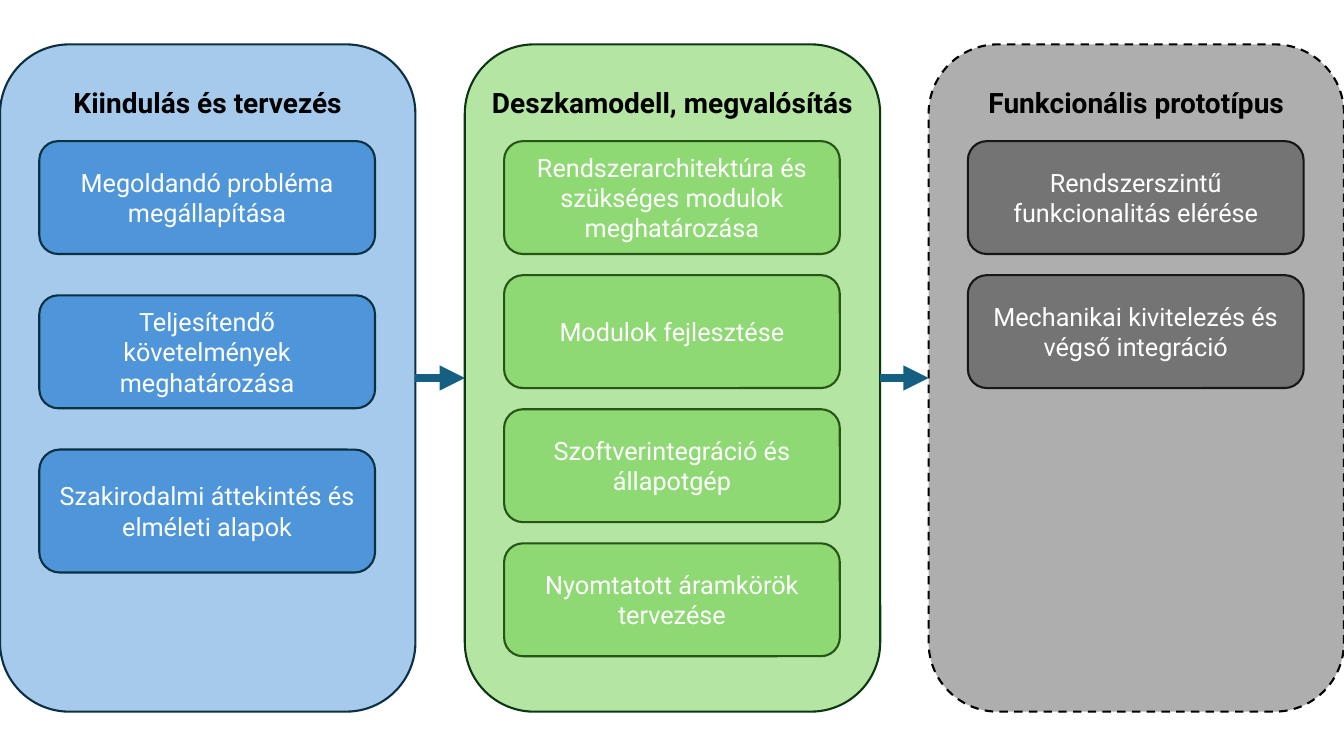
from lxml import etree
from pptx import Presentation
from pptx.dml.color import RGBColor
from pptx.enum import dml, shapes, text
from pptx.oxml import ns
from pptx.util import Inches, Pt

FONT = "Roboto"
COLORS = {
    "black": "000000", "white": "FFFFFF", "arrow": "156082",
    "sky": "A6CAEC", "blue": "4E95D9", "navy": "0B3041",
    "mint": "B4E5A2", "green": "8ED973", "pine": "0D3612", "moss": "275417",
    "silver": "AEAEAE", "gray": "747474", "coal": "171717",
}

# Panel geometry in inches
LEFTS = (0, 4.61, 9.21)
TOP, WIDTH, HEIGHT = 0.44, 4.12, 6.62
BOX_TOP, BOX_W, BOX_H, INDENT = 1.4, 3.33, 1.12, 0.39

# Phases: heading, panel fill and line, dashed, box fill and line, box step, boxes
PHASES = [
    ("Kiindulás és tervezés", "sky", "navy", False, "blue", "navy", 1.53, [
        ("Megoldandó probléma megállapítása", BOX_H),
        ("Teljesítendő követelmények meghatározása", BOX_H),
        ("Szakirodalmi áttekintés és elméleti alapok", 1.22)]),
    ("Deszkamodell, megvalósítás", "mint", "pine", False, "green", "moss", 1.33, [
        ("Rendszerarchitektúra és szükséges modulok meghatározása", BOX_H),
        ("Modulok fejlesztése", BOX_H),
        ("Szoftverintegráció és állapotgép", BOX_H),
        ("Nyomtatott áramkörök tervezése", BOX_H)]),
    ("Funkcionális prototípus", "silver", "black", True, "gray", "coal", 1.33, [
        ("Rendszerszintű funkcionalitás elérése", BOX_H),
        ("Mechanikai kivitelezés és végső integráció", BOX_H)]),
]


def rgb(name):
    return RGBColor.from_string(COLORS[name])


def write(shape, words, size, color, bold=False):
    frame = shape.text_frame
    frame.word_wrap = True
    para = frame.paragraphs[0]
    para.alignment = text.PP_ALIGN.CENTER
    run = para.add_run()
    run.text = words
    run.font.name = FONT
    run.font.size = Pt(size)
    run.font.bold = bold
    run.font.color.rgb = rgb(color)


def add_round(slide, left, top, width, height, fill, line):
    shape = slide.shapes.add_shape(
        shapes.MSO_SHAPE.ROUNDED_RECTANGLE,
        Inches(left), Inches(top), Inches(width), Inches(height))
    shape.shadow.inherit = False
    shape.fill.solid()
    shape.fill.fore_color.rgb = rgb(fill)
    shape.line.color.rgb = rgb(line)
    shape.line.width = Pt(1.5)
    return shape


def add_head(slide, left, words):
    head = slide.shapes.add_textbox(
        Inches(left), Inches(0.8), Inches(WIDTH), Inches(0.44))
    head.text_frame.auto_size = text.MSO_AUTO_SIZE.SHAPE_TO_FIT_TEXT
    write(head, words, 20, "black", bold=True)


def add_box(slide, left, top, height, fill, line, words):
    box = add_round(slide, left, top, BOX_W, height, fill, line)
    box.text_frame.vertical_anchor = text.MSO_ANCHOR.MIDDLE
    write(box, words, 18, "white")


def add_arrow(slide, start, end):
    arrow = slide.shapes.add_connector(shapes.MSO_CONNECTOR.STRAIGHT, 0, 0, 0, 0)
    arrow.begin_connect(start, 3)
    arrow.end_connect(end, 1)
    arrow.line.color.rgb = rgb("arrow")
    arrow.line.width = Pt(6)
    # Arrowhead, and no shadow
    tail = etree.SubElement(arrow.line._get_or_add_ln(), ns.qn("a:tailEnd"))
    tail.set("type", "triangle")
    etree.SubElement(arrow._element.spPr, ns.qn("a:effectLst"))


def add_phase(slide, left, phase):
    title, fill, edge, dashed, box_fill, box_edge, step, boxes = phase
    panel = add_round(slide, left, TOP, WIDTH, HEIGHT, fill, edge)
    if dashed:
        panel.line.dash_style = dml.MSO_LINE.DASH
    add_head(slide, left, title)
    for row, (words, height) in enumerate(boxes):
        add_box(slide, left + INDENT, BOX_TOP + row * step, height,
                box_fill, box_edge, words)
    return panel


def main():
    deck = Presentation()
    deck.slide_width, deck.slide_height = Inches(13.33), Inches(7.5)
    slide = deck.slides.add_slide(deck.slide_layouts[6])

    # Three phases
    panels = [add_phase(slide, left, phase) for left, phase in zip(LEFTS, PHASES)]

    # Arrows between neighbours
    for start, end in zip(panels, panels[1:]):
        add_arrow(slide, start, end)

    deck.save("out.pptx")


if __name__ == "__main__":
    main()
